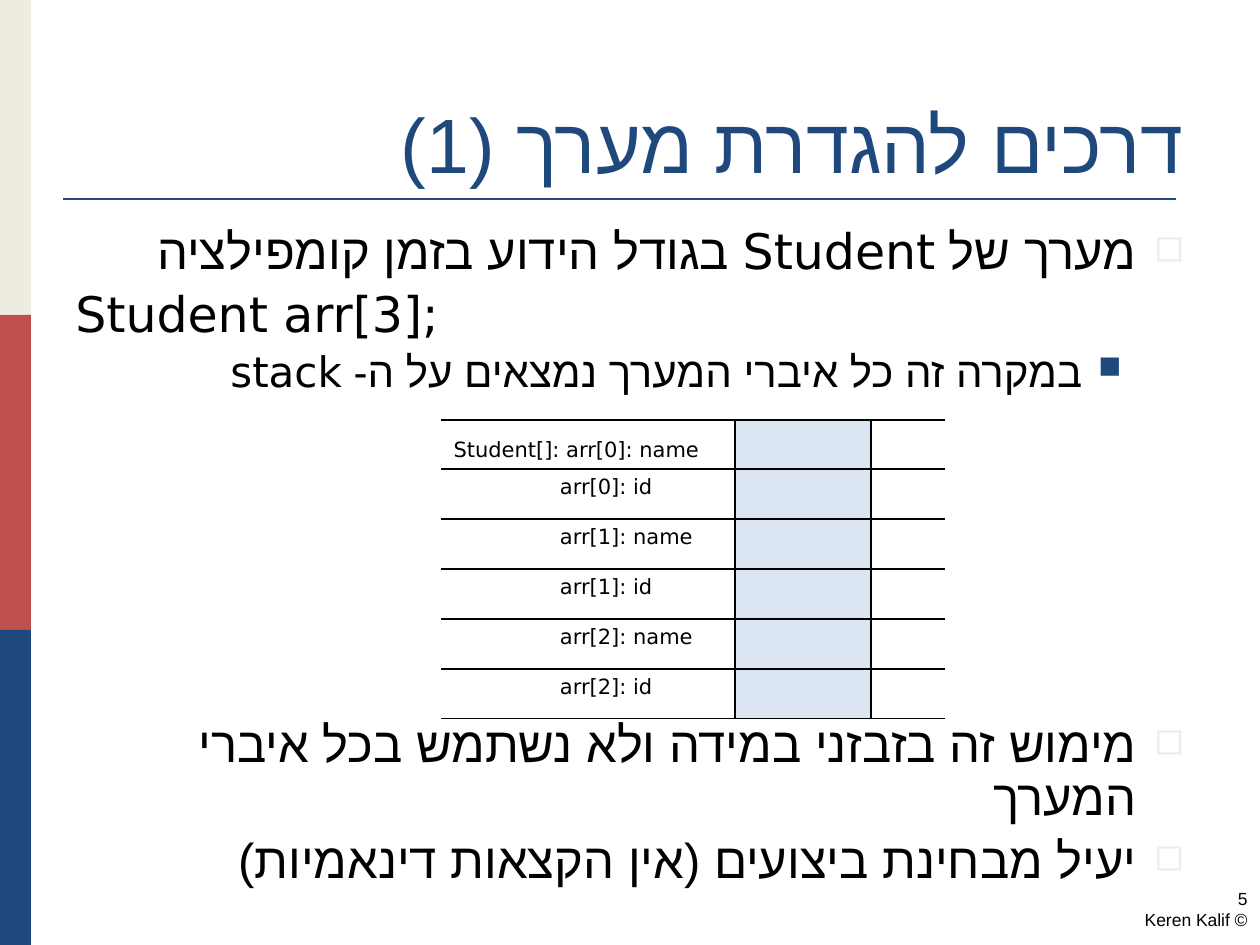
from lxml.etree import SubElement
from pptx import Presentation
from pptx.dml.color import RGBColor
from pptx.enum.shapes import MSO_CONNECTOR, MSO_SHAPE
from pptx.enum.text import MSO_ANCHOR as ANCHOR, MSO_AUTO_SIZE, PP_ALIGN as ALIGN
from pptx.oxml.ns import qn
from pptx.util import Pt

PX = 914400 / 126
NAVY = RGBColor(0x1F, 0x49, 0x7D)
RED = RGBColor(0xC0, 0x50, 0x4D)
CREAM = RGBColor(0xEE, 0xEC, 0xE1)
PALE_BLUE = RGBColor(0xDC, 0xE6, 0xF2)
BLACK = RGBColor(0, 0, 0)
SANS = "DejaVu Sans"
HEBREW = "Arial"


def px(*lengths):
    return [round(n * PX) for n in lengths]


def write(p, text, size=28, font=SANS, color=BLACK, rtl=True,
          bullet=None, bullet_color=CREAM, indent=(0, 0), before=0, spacing=None):
    """Fill paragraph p; indent is (left margin, first line) in px."""
    r = p.add_run()
    r.text = text
    r.font.size = Pt(size)
    r.font.name = font
    r.font.color.rgb = color
    SubElement(r._r.get_or_add_rPr(), qn("a:cs")).set("typeface", HEBREW)
    p.alignment = ALIGN.RIGHT if rtl else ALIGN.LEFT
    p.space_before = Pt(before)
    if spacing:
        p.line_spacing = spacing
    pPr = p._p.get_or_add_pPr()
    pPr.set("rtl", str(int(rtl)))
    for name, value in zip(("marL", "indent"), px(*indent)):
        pPr.set(name, str(value))
    if bullet:
        clr = SubElement(pPr, qn("a:buClr"))
        SubElement(clr, qn("a:srgbClr")).set("val", str(bullet_color))
        SubElement(pPr, qn("a:buSzPct")).set("val", "75000")
        SubElement(pPr, qn("a:buChar")).set("char", bullet)


prs = Presentation()
prs.slide_width, prs.slide_height = px(1260, 945)
s = prs.slides.add_slide(prs.slide_layouts[5])

# Side stripes and the rule under the title
for i, color in enumerate((CREAM, RED, NAVY)):
    sp = s.shapes.add_shape(MSO_SHAPE.RECTANGLE, *px(0, 315 * i, 31, 315))
    sp.shadow.inherit = False
    sp.fill.solid()
    sp.fill.fore_color.rgb = color
    sp.line.fill.background()
rule = s.shapes.add_connector(MSO_CONNECTOR.STRAIGHT, *px(63, 199, 1176, 199))
rule.line.color.rgb = NAVY
rule.line.width = Pt(1.5)
SubElement(rule._element.spPr, qn("a:effectLst"))

# Title
title = s.shapes.title
title.left, title.top, title.width, title.height = px(63, 38, 1134, 157)
tf = title.text_frame
tf.auto_size = MSO_AUTO_SIZE.NONE
tf.vertical_anchor = ANCHOR.BOTTOM
write(tf.paragraphs[0], "דרכים להגדרת מערך (1)", size=44,
      font="TeX Gyre Pagella", color=NAVY)

# Body, with a gap for the table
POINT = dict(bullet="◻", indent=(48, -48), before=5.6)
BODY = [
    ("מערך של Student בגודל הידוע בזמן קומפילציה", POINT),
    ("Student arr[3];", dict(rtl=False, indent=(48, -48), before=5.6)),
    ("במקרה זה כל איברי המערך נמצאים על ה- stack",
     dict(size=24, bullet="■", bullet_color=NAVY, indent=(102, -39), before=4.8)),
    ("מימוש זה בזבזני במידה ולא נשתמש בכל איברי המערך", {**POINT, "before": 185}),
    ("יעיל מבחינת ביצועים (אין הקצאות דינאמיות)", POINT),
]
tf = s.shapes.add_textbox(*px(63, 221, 1134, 683)).text_frame
tf.word_wrap = True
for i, (text, style) in enumerate(BODY):
    p = tf.add_paragraph() if i else tf.paragraphs[0]
    write(p, text, spacing=0.9, **style)

# Memory table
fields = [f"arr[{i}]: {name}" for i in range(3) for name in ("name", "id")]
table = s.shapes.add_table(len(fields), 3, *px(441, 420, 504, 300)).table
table.first_row = table.horz_banding = False
for column, width in zip(table.columns, px(294, 136, 74)):
    column.width = width
for i, field in enumerate(fields):
    table.rows[i].height = px(50 if i else 49)[0]
    for j in range(3):
        cell = table.cell(i, j)
        tcPr = cell._tc.get_or_add_tcPr()
        drawn = {"lnL": j > 0, "lnR": j < 2, "lnT": True, "lnB": True}
        for side, visible in drawn.items():
            ln = SubElement(tcPr, qn(f"a:{side}"), w=str(Pt(1)))
            if visible:
                fill = SubElement(ln, qn("a:solidFill"))
                SubElement(fill, qn("a:srgbClr")).set("val", str(BLACK))
            else:
                SubElement(ln, qn("a:noFill"))
        if j == 1:
            cell.fill.solid()
            cell.fill.fore_color.rgb = PALE_BLUE
        else:
            cell.fill.background()
        if j > 0:  # keeps empty cells from stretching the row
            SubElement(cell.text_frame.paragraphs[0]._p, qn("a:endParaRPr"), sz="1200")
    label = table.cell(i, 0)
    if i == 0:
        field = "Student[]: " + field
        label.vertical_anchor = ANCHOR.BOTTOM
    else:
        label.margin_left = px(119)[0]
    write(label.text_frame.paragraphs[0], field, size=12, rtl=False)

# Footer
tf = s.shapes.add_textbox(*px(966, 882, 294, 63)).text_frame
tf.word_wrap = True
write(tf.paragraphs[0], "5", size=10)
write(tf.add_paragraph(), "© Keren Kalif", size=10, font="Arial")

prs.save("out.pptx")
